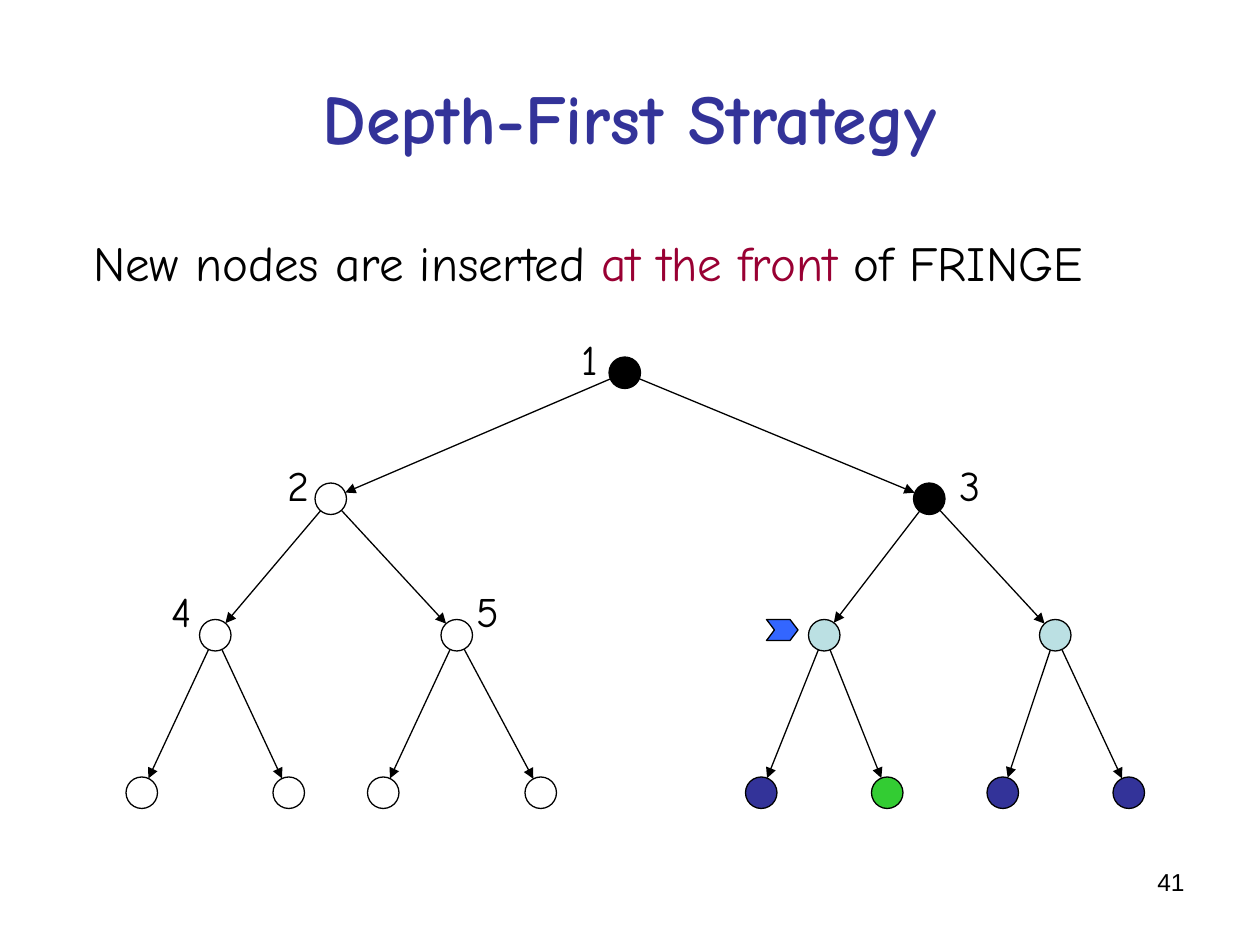
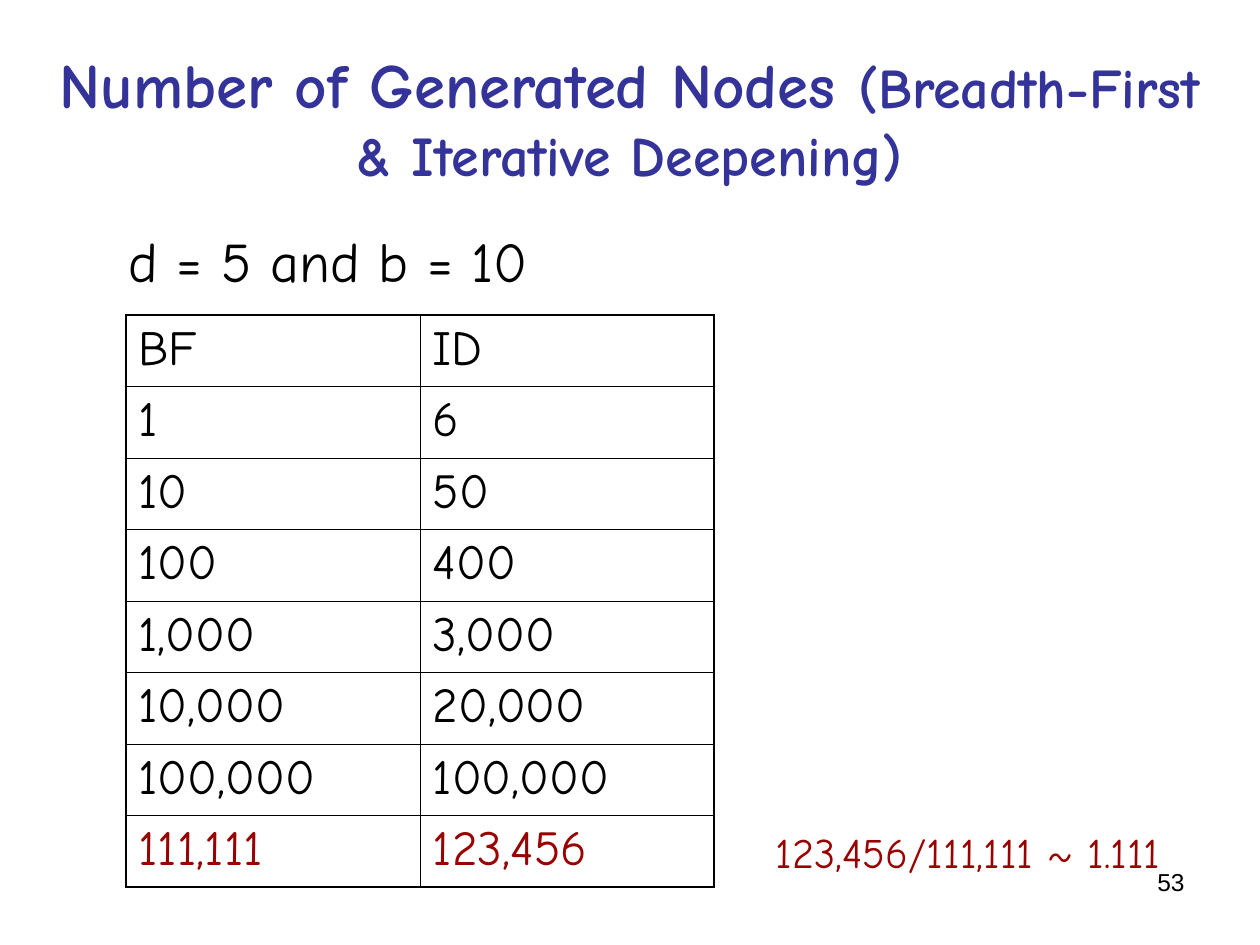
import math

from lxml import etree
from pptx import Presentation
from pptx.dml.color import RGBColor
from pptx.enum.shapes import MSO_CONNECTOR, MSO_SHAPE
from pptx.enum.text import MSO_ANCHOR, PP_ALIGN
from pptx.oxml.ns import qn
from pptx.util import Emu, Inches, Pt

OVAL, CHEVRON = MSO_SHAPE.OVAL, MSO_SHAPE.CHEVRON
STRAIGHT = MSO_CONNECTOR.STRAIGHT
LEFT, CENTER, RIGHT = PP_ALIGN.LEFT, PP_ALIGN.CENTER, PP_ALIGN.RIGHT
TOP, MIDDLE = MSO_ANCHOR.TOP, MSO_ANCHOR.MIDDLE

BLACK = RGBColor(0x00, 0x00, 0x00)
WHITE = RGBColor(0xFF, 0xFF, 0xFF)
INDIGO = RGBColor(0x33, 0x33, 0x99)
CRIMSON = RGBColor(0x99, 0x00, 0x33)
DARK_RED = RGBColor(0x99, 0x00, 0x00)
GREEN = RGBColor(0x33, 0xCC, 0x33)
PALE_BLUE = RGBColor(0xBB, 0xE0, 0xE3)
BRIGHT_BLUE = RGBColor(0x33, 0x66, 0xFF)

FONT, NUMBER_FONT = "Comic Neue", "Arial"
WIDTH, HEIGHT = Inches(10), Inches(7.5)
UNIT = WIDTH // 120          # tree grid: 120 columns by 90 rows
NODE = 3                     # node diameter in grid units
LINE = Pt(0.75)
THICK, THIN = Pt(1.08), Pt(0.45)

# Binary tree in level order: children of node i are 2i + 1 and 2i + 2
LEVEL_ROWS = [34, 46, 59, 74]
NODE_COLUMNS = [58, 30, 87, 19, 42, 77, 99, 12, 26, 35, 50, 71, 83, 94, 106]
NODE_FILLS = [BLACK, WHITE, BLACK, WHITE, WHITE, PALE_BLUE, PALE_BLUE,
              WHITE, WHITE, WHITE, WHITE, INDIGO, GREEN, INDIGO, INDIGO]
LABEL_SHIFTS = [-3.8, -3.8, 3.2, -3.8, 2.2]
LABEL_ROWS = [31.2, 43.2, 55.2]

NODE_COUNTS = [
    ("BF", "ID"), ("1", "6"), ("10", "50"), ("100", "400"),
    ("1,000", "3,000"), ("10,000", "20,000"), ("100,000", "100,000"),
    ("111,111", "123,456"),
]


def add_run(p, text, size, color=BLACK, font=FONT, bold=False):
    r = p.add_run()
    r.text = text
    r.font.name, r.font.size, r.font.bold = font, Pt(size), bold
    r.font.color.rgb = color


def add_text(s, box, runs, align=LEFT, anchor=TOP, **style):
    """Text box; box in inches, runs as (text, size, color)."""
    tf = s.shapes.add_textbox(*map(Inches, box)).text_frame
    tf.word_wrap = True
    tf.vertical_anchor = anchor
    p = tf.paragraphs[0]
    p.alignment = align
    for run in runs:
        add_run(p, *run, **style)


def add_slide(prs, title, number):
    """Blank slide with the shared title and page number."""
    s = prs.slides.add_slide(prs.slide_layouts[6])
    add_text(s, (0.25, 0.3, 9.5, 1.25), [(t, size, INDIGO) for t, size in title],
             CENTER, MIDDLE, bold=True)
    add_text(s, (7.17, 6.83, 2.33, 0.52), [(number, 14, BLACK)], RIGHT,
             font=NUMBER_FONT)
    return s


def add_outlined(s, kind, col, row, cols, rows, fill):
    sp = s.shapes.add_shape(kind, *(Emu(int(v * UNIT)) for v in (col, row, cols, rows)))
    sp.shadow.inherit = False
    sp.fill.solid()
    sp.fill.fore_color.rgb = fill
    sp.line.color.rgb, sp.line.width = BLACK, LINE
    return sp


def add_edge(s, parent, child):
    """Arrow from rim to rim along the line between two node centres."""
    (x1, y1), (x2, y2) = parent, child
    share = NODE / 2 / math.dist(parent, child)
    dx, dy = (x2 - x1) * share, (y2 - y1) * share
    ends = (x1 + dx, y1 + dy, x2 - dx, y2 - dy)
    line = s.shapes.add_connector(STRAIGHT, *(Emu(int(v * UNIT)) for v in ends))
    line.line.color.rgb, line.line.width = BLACK, LINE
    etree.SubElement(line.line._get_or_add_ln(), qn("a:tailEnd"), type="triangle")
    etree.SubElement(line._element.spPr, qn("a:effectLst"))


def add_tree(s):
    levels = [(i + 1).bit_length() - 1 for i in range(len(NODE_COLUMNS))]
    centers = [(col + NODE / 2, LEVEL_ROWS[level] + NODE / 2)
               for col, level in zip(NODE_COLUMNS, levels)]
    for i in range(1, len(centers)):
        add_edge(s, centers[(i - 1) // 2], centers[i])
    for col, level, fill in zip(NODE_COLUMNS, levels, NODE_FILLS):
        add_outlined(s, OVAL, col, LEVEL_ROWS[level], NODE, NODE, fill)
    for i, shift in enumerate(LABEL_SHIFTS):
        box = ((NODE_COLUMNS[i] + shift) / 12, LABEL_ROWS[levels[i]] / 12, 0.4, 0.5)
        add_text(s, box, [(str(i + 1), 24, BLACK)])


def set_borders(cell, widths):
    tcPr = cell._tc.get_or_add_tcPr()
    for i, (side, width) in enumerate(zip("LRTB", widths)):
        ln = etree.Element(qn(f"a:ln{side}"), w=str(width))
        fill = etree.SubElement(ln, qn("a:solidFill"))
        etree.SubElement(fill, qn("a:srgbClr"), val=str(BLACK))
        tcPr.insert(i, ln)


def add_count_table(s, rows):
    last_row, last_col = len(rows) - 1, len(rows[0]) - 1
    box = map(Inches, (1, 2.5, 4.67, 4.53))
    table = s.shapes.add_table(len(rows), len(rows[0]), *box).table
    table.first_row = table.horz_banding = False
    for i, row in enumerate(rows):
        for j, text in enumerate(row):
            cell = table.cell(i, j)
            cell.fill.background()
            add_run(cell.text_frame.paragraphs[0], text, 28,
                    DARK_RED if i == last_row else BLACK)
            outer = (j == 0, j == last_col, i == 0, i == last_row)
            set_borders(cell, [THICK if edge else THIN for edge in outer])


def main():
    prs = Presentation()
    prs.slide_width, prs.slide_height = WIDTH, HEIGHT

    # Depth-first search tree
    s = add_slide(prs, [("Depth-First Strategy", 40)], "41")
    add_text(s, (0.64, 1.8, 9.1, 0.6), [
        ("New nodes are inserted ", 28, BLACK),
        ("at the front", 28, CRIMSON),
        (" of FRINGE", 28, BLACK)])
    add_tree(s)
    marker = add_outlined(s, CHEVRON, 73, 59, 3, 2, BRIGHT_BLUE)
    marker.adjustments[0] = 0.38

    # Node counts of both strategies
    s = add_slide(prs, [("Number of Generated Nodes ", 36),
                        ("(Breadth-First & Iterative Deepening)", 32)], "53")
    add_text(s, (0.92, 1.75, 8.5, 0.65), [("d = 5 and b = 10", 32, BLACK)])
    add_count_table(s, NODE_COUNTS)
    add_text(s, (6.06, 6.51, 3.4, 0.5),
             [("123,456/111,111 ~ 1.111", 24, DARK_RED)])

    prs.save("out.pptx")


if __name__ == "__main__":
    main()
